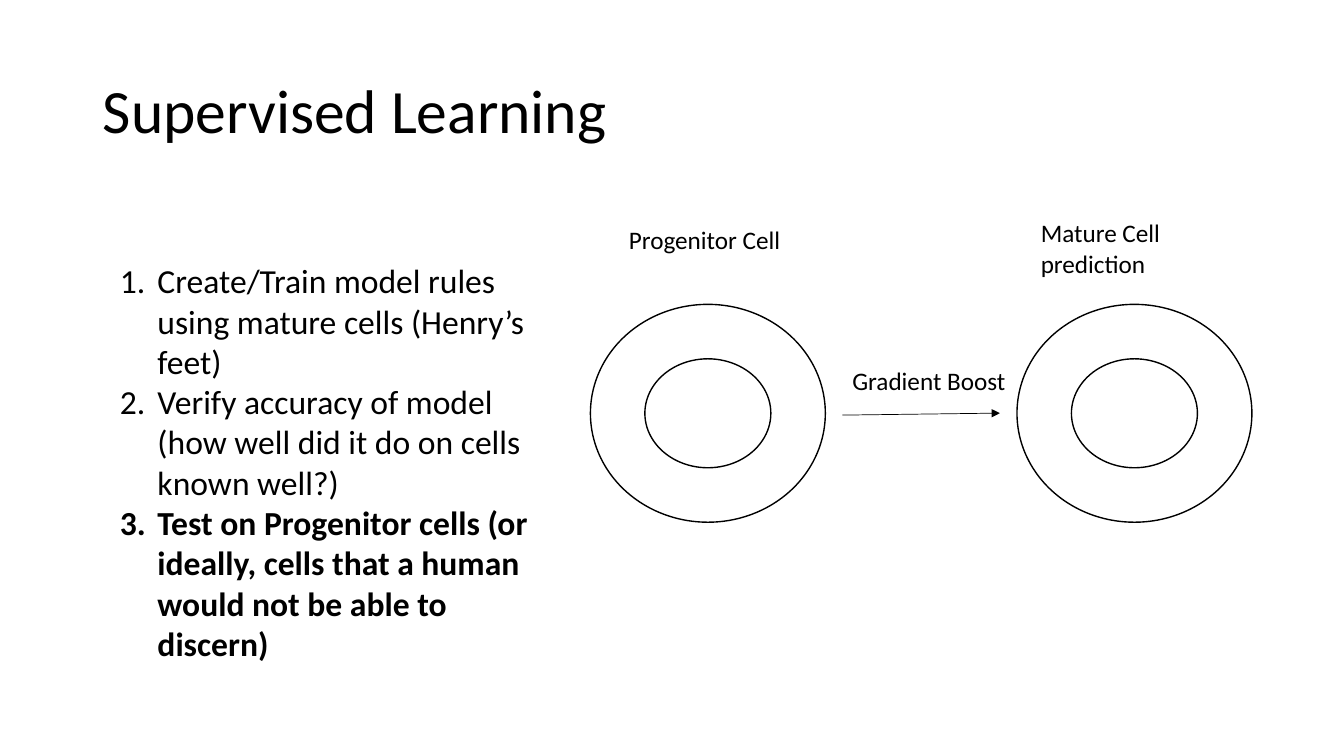
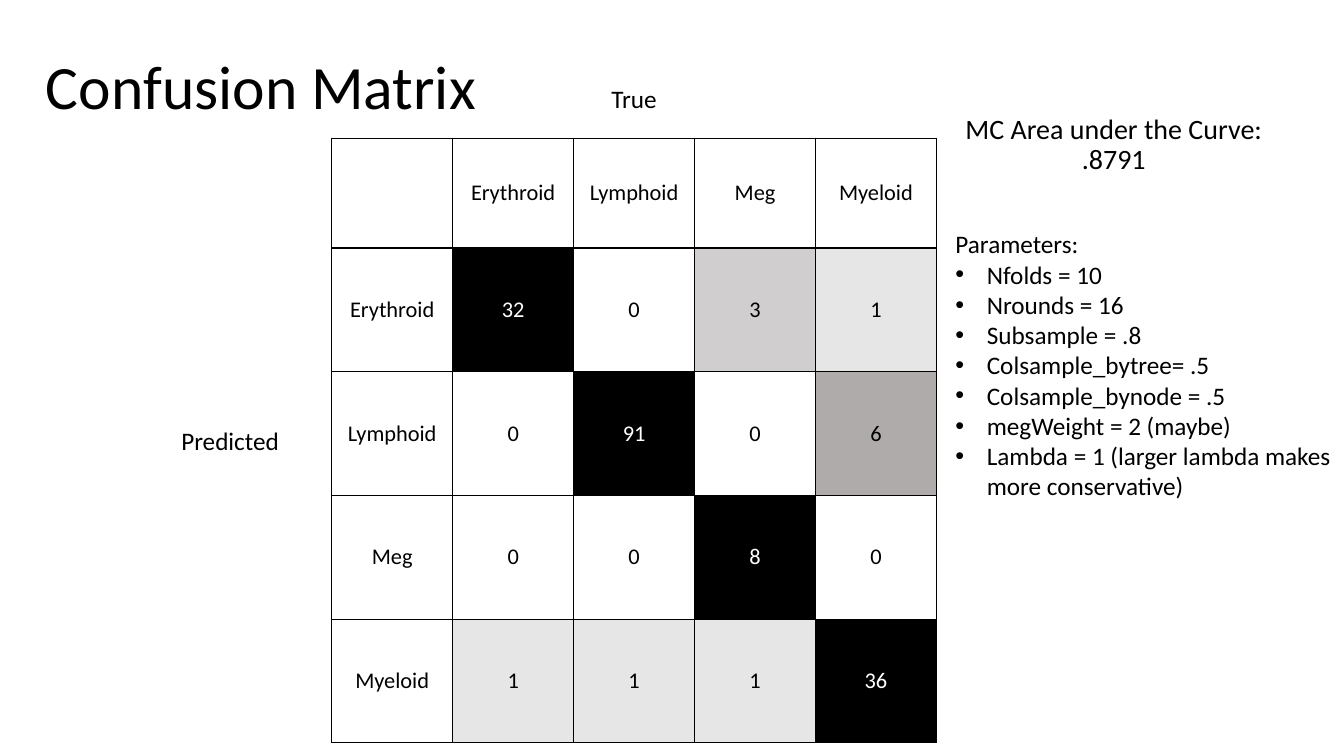
"""Build two slides on supervised learning and its confusion matrix."""
from typing import NamedTuple

from lxml import etree
from pptx import Presentation
from pptx import util as u
from pptx.dml import color
from pptx.enum import shapes, text
from pptx.oxml import ns

FONT = "Calibri"
HUES = {
    "ink": "000000",
    "white": "FFFFFF",
    "light": "E7E6E6",
    "mid": "D0CECE",
    "dark": "AFABAB",
}
SHADES = {0: "white", 1: "light", 3: "mid", 6: "dark"}
TYPES = ["Erythroid", "Lymphoid", "Meg", "Myeloid"]
COUNTS = [[32, 0, 3, 1], [0, 91, 0, 6], [0, 0, 8, 0], [1, 1, 1, 36]]
STEPS = [
    "Create/Train model rules using mature cells (Henry’s feet)",
    "Verify accuracy of model (how well did it do on cells known well?)",
    "Test on Progenitor cells (or ideally, cells that a human would not be able to discern)",
]
PARAMS = [
    "Nfolds = 10",
    "Nrounds = 16",
    "Subsample = .8",
    "Colsample_bytree= .5",
    "Colsample_bynode = .5",
    "megWeight = 2 (maybe)",
    "Lambda = 1 (larger lambda makes more conservative)",
]
NUMBER = ("buAutoNum", {"type": "arabicPeriod"})
DOT = ("buChar", {"char": "•"})


class Box(NamedTuple):
    left: float
    top: float
    width: float
    height: float

    def cm(self) -> list[u.Length]:
        return [u.Cm(side) for side in self]


class Label(NamedTuple):
    words: str
    box: Box
    align: text.PP_ALIGN = text.PP_ALIGN.LEFT


CELLS = [Box(left, 7.67, 5.92, 5.49) for left in (14.88, 25.63)]
STAGES = [
    Label("Progenitor Cell", Box(15.6, 5.54, 5.21, 1.02)),
    Label("Mature Cell prediction", Box(25.98, 5.36, 4.72, 1.8)),
    Label("Gradient Boost", Box(21.23, 9.09, 5.21, 1.02)),
]
AXES = [
    Label("Predicted", Box(4.32, 10.59, 3.4, 1.02)),
    Label("True", Box(14.71, 1.98, 2.54, 1.02), text.PP_ALIGN.CENTER),
]


def tint(name: str) -> color.RGBColor:
    return color.RGBColor.from_string(HUES[name])


def add_tag(parent, name: str, **attrs: str):
    return etree.SubElement(parent, ns.qn(f"a:{name}"), attrs)


def write(para, words: str, *, size: float = 18, hue: str = "ink", bold: bool = False,
          align=text.PP_ALIGN.LEFT, space: float | None = None,
          mark: tuple | None = None, indent: float = 0) -> None:
    if mark:
        name, attrs = mark
        props = para._p.get_or_add_pPr()
        props.set("marL", str(u.Cm(indent)))
        props.set("indent", str(-u.Cm(indent)))
        add_tag(props, "buFont", typeface="Arial" if name == "buChar" else "+mj-lt")
        add_tag(props, name, **attrs)
    para.text = words
    para.alignment = align
    if space:
        para.line_spacing = space
    for run in para.runs:
        run.font.name = FONT
        run.font.size = u.Pt(size)
        run.font.bold = bold
        run.font.color.rgb = tint(hue)


def add_frame(slide, box: Box, grow: bool = True):
    frame = slide.shapes.add_textbox(*box.cm()).text_frame
    frame.word_wrap = True
    if grow:
        frame.auto_size = text.MSO_AUTO_SIZE.SHAPE_TO_FIT_TEXT
    return frame


def add_title(slide, words: str, box: Box, size: float = 44,
              align=text.PP_ALIGN.LEFT) -> None:
    frame = add_frame(slide, box, grow=False)
    frame.vertical_anchor = text.MSO_ANCHOR.MIDDLE
    write(frame.paragraphs[0], words, size=size, align=align, space=0.9)


def add_labels(slide, labels: list[Label]) -> None:
    for label in labels:
        para = add_frame(slide, label.box).paragraphs[0]
        write(para, label.words, align=label.align)


def add_donut(slide, box: Box) -> None:
    donut = slide.shapes.add_shape(shapes.MSO_SHAPE.DONUT, *box.cm())
    donut.shadow.inherit = False
    donut.fill.background()
    donut.line.color.rgb = tint("ink")
    donut.line.width = u.Pt(1)


def add_arrow(slide, *ends: float) -> None:
    arrow = slide.shapes.add_connector(
        shapes.MSO_CONNECTOR.STRAIGHT, *[u.Cm(end) for end in ends])
    arrow.line.color.rgb = tint("ink")
    arrow.line.width = u.Pt(0.5)
    add_tag(arrow.line._get_or_add_ln(), "tailEnd", type="triangle")
    add_tag(arrow._element.spPr, "effectLst")


def fill_cell(cell, words: str, shade: str) -> None:
    props = cell._tc.get_or_add_tcPr()
    for side in "LRTB":
        edge = add_tag(props, f"ln{side}", w=str(u.Pt(1)))
        add_tag(add_tag(edge, "solidFill"), "srgbClr", val=HUES["ink"])
    cell.fill.solid()
    cell.fill.fore_color.rgb = tint(shade)
    cell.vertical_anchor = text.MSO_ANCHOR.MIDDLE
    cell.margin_left = cell.margin_right = u.Cm(0.38)
    cell.margin_top = cell.margin_bottom = u.Cm(0.2)
    write(cell.text_frame.paragraphs[0], words, size=16,
          hue="white" if shade == "ink" else "ink", align=text.PP_ALIGN.CENTER)


def add_matrix(slide, box: Box, head: float) -> None:
    count = len(TYPES) + 1
    grid = slide.shapes.add_table(count, count, *box.cm()).table
    for col in grid.columns:
        col.width = u.Cm(box.width / count)
    for row in grid.rows:
        row.height = u.Cm((box.height - head) / len(TYPES))
    grid.rows[0].height = u.Cm(head)
    fill_cell(grid.cell(0, 0), "", "white")
    for i, name in enumerate(TYPES):
        fill_cell(grid.cell(0, i + 1), name, "white")
        fill_cell(grid.cell(i + 1, 0), name, "white")
        for j, value in enumerate(COUNTS[i]):
            shade = "ink" if i == j else SHADES[value]
            fill_cell(grid.cell(i + 1, j + 1), str(value), shade)


def draw_model(slide) -> None:
    add_title(slide, "Supervised Learning", Box(2.34, 1.02, 29.21, 3.68))
    frame = add_frame(slide, Box(2.77, 6.43, 11.05, 11.28))
    for i, step in enumerate(STEPS):
        para = frame.add_paragraph() if i else frame.paragraphs[0]
        write(para, step, size=24, bold=step == STEPS[-1], mark=NUMBER, indent=0.95)
    for box in CELLS:
        add_donut(slide, box)
    add_arrow(slide, 21.23, 10.46, 25.2, 10.41)
    add_labels(slide, STAGES)


def draw_matrix(slide) -> None:
    add_title(slide, "MC Area under the Curve:\n.8791", Box(23.83, 2.24, 8.48, 2.84),
              size=20, align=text.PP_ALIGN.CENTER)
    add_matrix(slide, Box(8.36, 3.48, 15.24, 15.24), head=2.77)
    add_labels(slide, AXES)
    frame = add_frame(slide, Box(23.83, 5.64, 10.03, 8.71))
    write(frame.paragraphs[0], "Parameters:")
    for param in PARAMS:
        write(frame.add_paragraph(), param, mark=DOT, indent=0.79)
    add_title(slide, "Confusion Matrix", Box(0.91, 0.41, 29.21, 3.68))


def main() -> None:
    deck = Presentation()
    deck.slide_width, deck.slide_height = u.Cm(33.87), u.Cm(19.05)
    for draw in (draw_model, draw_matrix):
        draw(deck.slides.add_slide(deck.slide_layouts[6]))
    deck.save("out.pptx")


if __name__ == "__main__":
    main()
